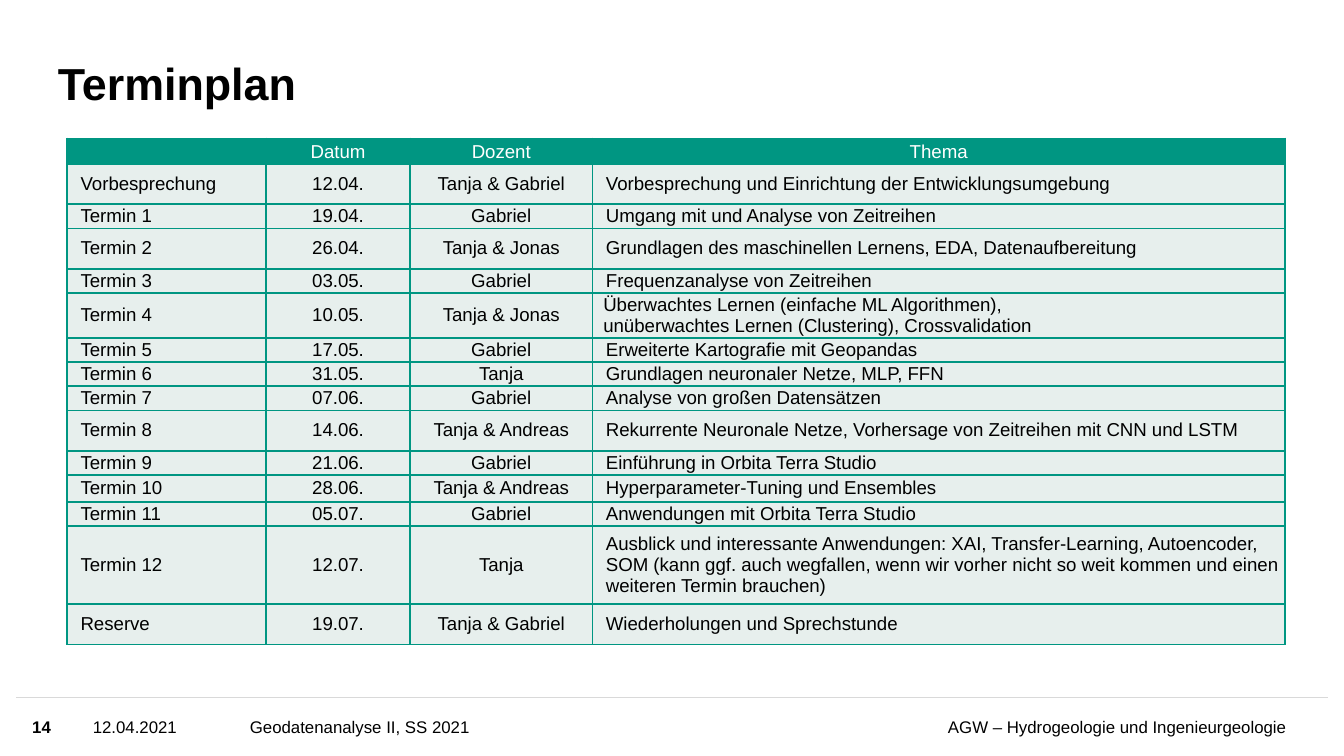
"""Build the course schedule slide with its table and footer."""
from copy import deepcopy
from typing import NamedTuple

from lxml.etree import SubElement
from pptx import Presentation
from pptx.dml.color import RGBColor
from pptx.enum.shapes import MSO_CONNECTOR
from pptx.enum.text import MSO_ANCHOR, MSO_AUTO_SIZE, PP_ALIGN
from pptx.oxml.ns import qn
from pptx.util import Pt

HUES = {"ink": "000000", "white": "FFFFFF", "green": "009682", "pale": "E7EFED", "rule": "D9D9D9"}
LEFT, MID, RIGHT = PP_ALIGN.LEFT, PP_ALIGN.CENTER, PP_ALIGN.RIGHT
LOW, HIGH, BREAK = 13, 21.6, 24
COLS = (106.6, 77, 97.9, 370.8)


class Date(NamedTuple):
    name: str
    day: str
    host: str
    topic: str
    tall: float = LOW
    side: float = 1.44


class Note(NamedTuple):
    text: str
    left: float
    width: float
    align: PP_ALIGN = LEFT
    bold: bool = False


HEAD = Date("", "Datum", "Dozent", "Thema")
DATES = [
    Date("Vorbesprechung", "12.04.", "Tanja & Gabriel",
         "Vorbesprechung und Einrichtung der Entwicklungsumgebung", HIGH),
    Date("Termin 1", "19.04.", "Gabriel", "Umgang mit und Analyse von Zeitreihen"),
    Date("Termin 2", "26.04.", "Tanja & Jonas",
         "Grundlagen des maschinellen Lernens, EDA, Datenaufbereitung", HIGH),
    Date("Termin 3", "03.05.", "Gabriel", "Frequenzanalyse von Zeitreihen"),
    Date("Termin 4", "10.05.", "Tanja & Jonas",
         "Überwachtes Lernen (einfache ML Algorithmen),\n"
         "unüberwachtes Lernen (Clustering), Crossvalidation", BREAK, 0),
    Date("Termin 5", "17.05.", "Gabriel", "Erweiterte Kartografie mit Geopandas"),
    Date("Termin 6", "31.05.", "Tanja", "Grundlagen neuronaler Netze, MLP, FFN"),
    Date("Termin 7", "07.06.", "Gabriel", "Analyse von großen Datensätzen"),
    Date("Termin 8", "14.06.", "Tanja & Andreas",
         "Rekurrente Neuronale Netze, Vorhersage von Zeitreihen mit CNN und LSTM", HIGH),
    Date("Termin 9", "21.06.", "Gabriel", "Einführung in Orbita Terra Studio"),
    Date("Termin 10", "28.06.", "Tanja & Andreas", "Hyperparameter-Tuning und Ensembles", 14.4),
    Date("Termin 11", "05.07.", "Gabriel", "Anwendungen mit Orbita Terra Studio"),
    Date("Termin 12", "12.07.", "Tanja",
         "Ausblick und interessante Anwendungen: XAI, Transfer-Learning, Autoencoder, "
         "SOM (kann ggf. auch wegfallen, wenn wir vorher nicht so weit kommen und einen "
         "weiteren Termin brauchen)", 41.8),
    Date("Reserve", "19.07.", "Tanja & Gabriel", "Wiederholungen und Sprechstunde", HIGH),
]
NOTES = [
    Note("Geodatenanalyse II, SS 2021", 133.9, 290.2),
    Note("AGW – Hydrogeologie und Ingenieurgeologie", 433.4, 255.6, RIGHT),
    Note("12.04.2021", 49.7, 80.6),
    Note("14", 17.3, 25.9, bold=True),
]


def write(frame, text: str, *, size: float, hue: str = "ink", bold: bool = False,
          align: PP_ALIGN = LEFT, indent: float = 0, space: float = 1) -> None:
    para = frame.paragraphs[0]
    para.alignment, para.line_spacing = align, space
    if indent:
        props = para._p.get_or_add_pPr()
        props.set("marL", str(Pt(indent)))
        props.set("indent", "0")
    if not text:
        SubElement(para._p, qn("a:endParaRPr"), sz=str(size * 100))
        return
    para.text = text
    for run in para.runs:
        font = run.font
        font.name, font.size, font.bold = "Arial", Pt(size), bold
        font.color.rgb = RGBColor.from_string(HUES[hue])
    for gap in para._p.findall(qn("a:br")):
        gap.append(deepcopy(para.runs[0]._r.rPr))


def fit(frame, anchor: MSO_ANCHOR) -> None:
    frame.margin_left = frame.margin_right = frame.margin_top = frame.margin_bottom = 0
    frame.word_wrap, frame.auto_size = True, MSO_AUTO_SIZE.NONE
    frame.vertical_anchor = anchor


def edge(cell) -> None:
    props = cell._tc.get_or_add_tcPr()
    for spot, side in enumerate(("lnL", "lnR", "lnT", "lnB")):
        line = props.makeelement(qn(f"a:{side}"), {"w": str(Pt(1))})
        fill = SubElement(line, qn("a:solidFill"))
        SubElement(fill, qn("a:srgbClr"), val=HUES["green"])
        props.insert(spot, line)


def put_date(table, row: int, date: Date) -> None:
    table.rows[row].height = Pt(date.tall)
    head = row == 0
    for col, text in enumerate(date[:4]):
        cell = table.cell(row, col)
        cell.margin_left = cell.margin_right = Pt(date.side if col == 3 else 1.44)
        cell.margin_top = cell.margin_bottom = Pt(0.72)
        cell.vertical_anchor = MSO_ANCHOR.BOTTOM if head else MSO_ANCHOR.MIDDLE
        cell.fill.solid()
        cell.fill.fore_color.rgb = RGBColor.from_string(HUES["green" if head else "pale"])
        edge(cell)
        flush = not head and col in (0, 3)
        write(cell.text_frame, text, size=10, hue="white" if head else "ink",
              align=LEFT if flush else MID, indent=5.76 if flush else 0)


def put_note(slide, note: Note) -> None:
    box = slide.shapes.add_textbox(Pt(note.left), Pt(373.7), Pt(note.width), Pt(31))
    fit(box.text_frame, MSO_ANCHOR.MIDDLE)
    write(box.text_frame, note.text, size=9, bold=note.bold, align=note.align)


def main() -> None:
    deck = Presentation()
    deck.slide_width, deck.slide_height = Pt(720), Pt(405)
    slide = deck.slides.add_slide(deck.slide_layouts[5])

    title = slide.shapes.title
    title.left, title.top, title.width, title.height = Pt(31), Pt(13.7), Pt(540.7), Pt(45.4)
    fit(title.text_frame, MSO_ANCHOR.BOTTOM)
    write(title.text_frame, "Terminplan", size=24, bold=True, space=0.9)

    rule = slide.shapes.add_connector(MSO_CONNECTOR.STRAIGHT, Pt(8.6), Pt(373.7), Pt(711.4), Pt(373.7))
    rule.line.width = Pt(1)
    rule.line.color.rgb = RGBColor.from_string(HUES["rule"])
    SubElement(rule._element.spPr, qn("a:effectLst"))
    for note in NOTES:
        put_note(slide, note)

    plan = [HEAD, *DATES]
    tall = sum(date.tall for date in plan)
    table = slide.shapes.add_table(len(plan), len(COLS), Pt(36), Pt(74.2), Pt(sum(COLS)), Pt(tall)).table
    table.horz_banding = False
    for col, width in zip(table.columns, COLS):
        col.width = Pt(width)
    for row, date in enumerate(plan):
        put_date(table, row, date)
    deck.save("out.pptx")


if __name__ == "__main__":
    main()
